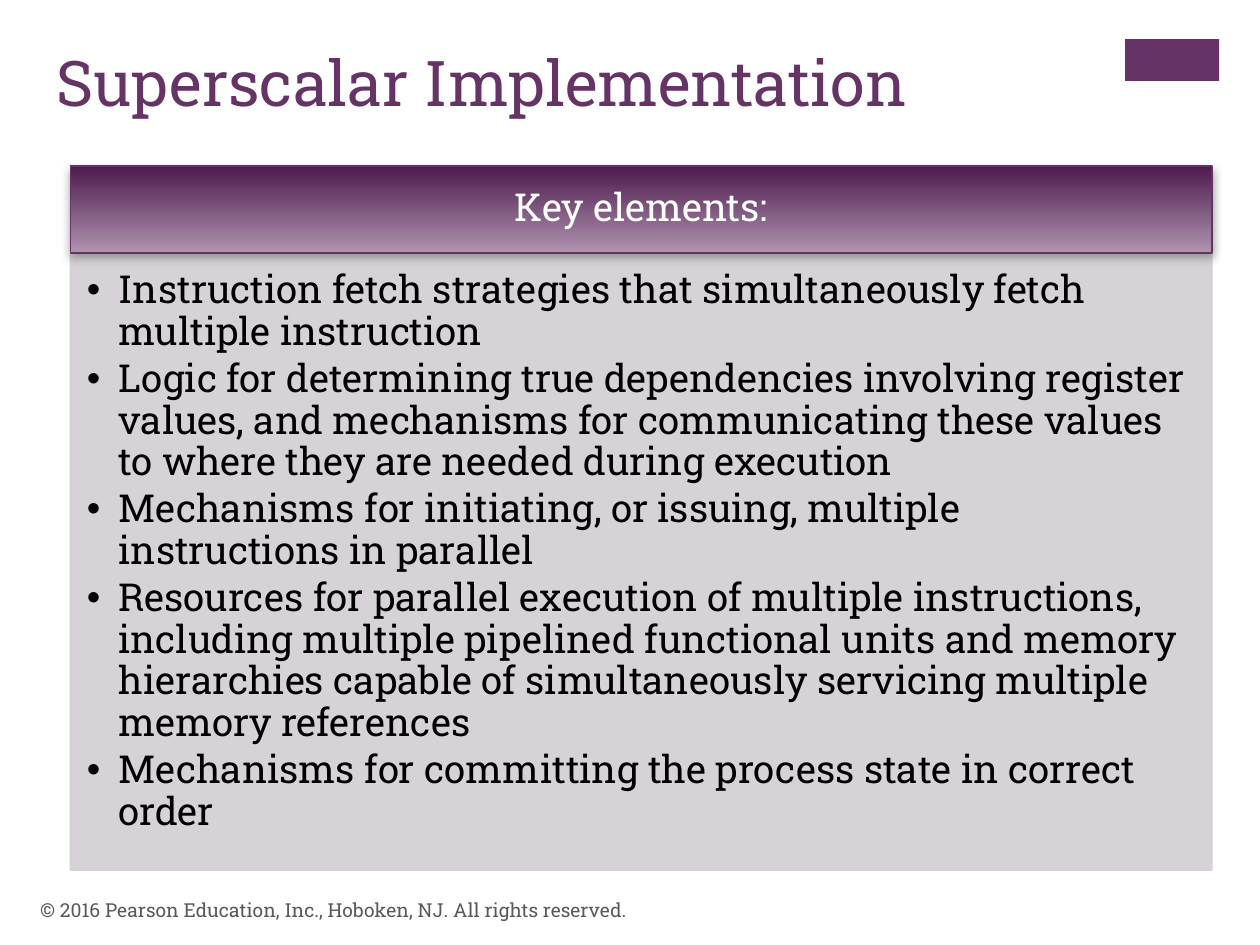
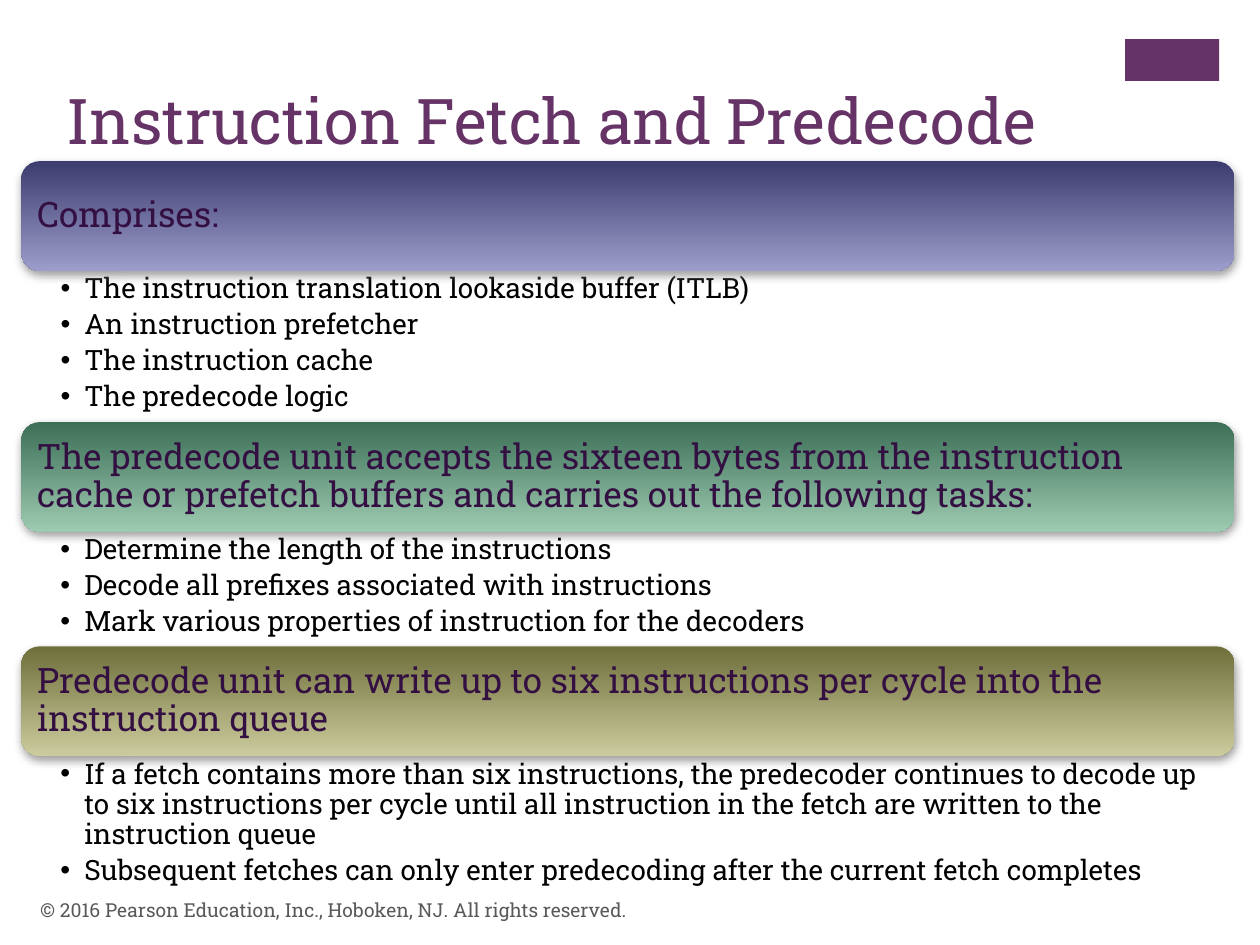
from lxml.etree import SubElement
from pptx import Presentation
from pptx.dml.color import RGBColor
from pptx.enum.shapes import MSO_SHAPE
from pptx.enum.text import MSO_ANCHOR, MSO_AUTO_SIZE, PP_ALIGN
from pptx.oxml.ns import qn
from pptx.util import Cm, Pt

FONT = "Roboto Slab"
COPYRIGHT = "© 2016 Pearson Education, Inc., Hoboken, NJ. All rights reserved."
COLORS = {
    "purple": "663366",
    "footer": "595959",
    "panel": "D3CED3",
    "heading": "330F42",
    "white": "FFFFFF",
    "black": "000000",
}
GRADIENTS = {
    "purple": ("4D1A4D", "AF94AF"),
    "blue": ("3C3C6F", "9D9DCB"),
    "green": ("3C6F56", "9DCBB2"),
    "olive": ("6F6F3C", "CBCB9D"),
}


def write_text(shape, lines, size, color, margins=(0.25, 0.13, 0.25, 0.13),
               anchor=MSO_ANCHOR.TOP, align=PP_ALIGN.LEFT, spacing=1.0, gap=0, indent=None):
    """Fill a shape with one paragraph per line; an indent in cm makes them bullets."""
    frame = shape.text_frame
    frame.text = "\n".join(lines)
    frame.word_wrap = True
    frame.auto_size = MSO_AUTO_SIZE.NONE
    frame.vertical_anchor = anchor
    (frame.margin_left, frame.margin_top,
     frame.margin_right, frame.margin_bottom) = [Cm(margin) for margin in margins]
    for paragraph in frame.paragraphs:
        paragraph.alignment = align
        paragraph.line_spacing = spacing
        paragraph.space_before = Pt(0)
        paragraph.space_after = Pt(gap)
        if indent:
            properties = paragraph._p.get_or_add_pPr()
            properties.set("marL", str(Cm(indent)))
            properties.set("indent", str(-Cm(indent)))
            SubElement(properties, qn("a:buFont"), typeface="Arial")
            SubElement(properties, qn("a:buChar"), char="•")
        paragraph.font.name = FONT
        paragraph.font.size = Pt(size)
        paragraph.font.color.rgb = RGBColor.from_string(COLORS[color])


def add_heading_bar(slide, kind, box, gradient):
    """Add a bar shaded from top to bottom, with a soft shadow below it."""
    bar = slide.shapes.add_shape(kind, *[Cm(length) for length in box])
    bar.fill.gradient()
    bar.fill.gradient_angle = 270
    for stop, color in zip(bar.fill.gradient_stops, GRADIENTS[gradient]):
        stop.color.rgb = RGBColor.from_string(color)
    bar.line.fill.background()
    bar.shadow.inherit = False
    effects = bar.element.spPr.find(qn("a:effectLst"))
    shadow = SubElement(effects, qn("a:outerShdw"), blurRad=str(Pt(5)), dist=str(Pt(2)),
                        dir="5400000", rotWithShape="0")
    shadow_color = SubElement(shadow, qn("a:srgbClr"), val="808080")
    SubElement(shadow_color, qn("a:alpha"), val="75000")
    return bar


presentation = Presentation()
presentation.slide_width = Cm(25.4)
presentation.slide_height = Cm(19.05)
layout = presentation.slide_layouts[1]

# Titles and footers
titles = [
    ("Superscalar Implementation", (0.89, 0.74, 20.98, 3.1)),
    ("Instruction Fetch and Predecode", (1.09, 1.52, 22.4, 3.1)),
]
for title_text, box in titles:
    slide = presentation.slides.add_slide(layout)
    title = slide.shapes.title
    title.left, title.top, title.width, title.height = [Cm(length) for length in box]
    write_text(title, [title_text], 36, "purple")
    footer = slide.shapes.add_textbox(Cm(0.56), Cm(17.83), Cm(17.02), Cm(1.02))
    write_text(footer, [COPYRIGHT], 11, "footer", anchor=MSO_ANCHOR.MIDDLE)
implementation_slide, fetch_slide = presentation.slides

# Corner band, shared through the slide master
band = fetch_slide.shapes.add_shape(MSO_SHAPE.RECTANGLE, Cm(22.68), Cm(0.79), Cm(1.9), Cm(0.84))
band.fill.solid()
band.fill.fore_color.rgb = RGBColor.from_string(COLORS["purple"])
band.line.fill.background()
band.shadow.inherit = False
band.element.nvSpPr.cNvPr.set("id", "20")
presentation.slide_master.shapes.element.append(band.element)

# Slide 1: key elements
panel = implementation_slide.placeholders[1]
panel.left, panel.top, panel.width, panel.height = Cm(1.42), Cm(5.12), Cm(23.01), Cm(12.42)
panel.fill.solid()
panel.fill.fore_color.rgb = RGBColor.from_string(COLORS["panel"])
panel.line.color.rgb = RGBColor.from_string(COLORS["panel"])
panel.line.width = Pt(1)
for panel_color in panel.element.spPr.iter(qn("a:srgbClr")):
    SubElement(panel_color, qn("a:alpha"), val="90000")
key_elements = [
    "Instruction fetch strategies that simultaneously fetch multiple instruction",
    "Logic for determining true dependencies involving register values, and mechanisms "
    "for communicating these values to where they are needed during execution",
    "Mechanisms for initiating, or issuing, multiple instructions in parallel",
    "Resources for parallel execution of multiple instructions, including multiple pipelined "
    "functional units and memory hierarchies capable of simultaneously servicing multiple "
    "memory references",
    "Mechanisms for committing the process state in correct order",
]
write_text(panel, key_elements, 22, "black", margins=(0.33, 0.33, 0.43, 0.48),
           spacing=0.9, gap=3.3, indent=0.64)
header = add_heading_bar(implementation_slide, MSO_SHAPE.RECTANGLE,
                         (1.42, 3.35, 23.01, 1.75), "purple")
header.line.color.rgb = RGBColor.from_string(COLORS["purple"])
header.line.width = Pt(1)
write_text(header, ["Key elements:"], 22, "white", anchor=MSO_ANCHOR.MIDDLE,
           align=PP_ALIGN.CENTER, spacing=0.9)

# Slide 2: headings with their lists, stacked from the top
sections = [
    ("Comprises:", "blue", 3.05, [
        "The instruction translation lookaside buffer (ITLB)",
        "An instruction prefetcher",
        "The instruction cache",
        "The predecode logic",
    ]),
    ("The predecode unit accepts the sixteen bytes from the instruction cache or prefetch "
     "buffers and carries out the following tasks:", "green", 2.31, [
         "Determine the length of the instructions",
         "Decode all prefixes associated with instructions",
         "Mark various properties of instruction for the decoders",
     ]),
    ("Predecode unit can write up to six instructions per cycle into the instruction queue",
     "olive", 2.77, [
         "If a fetch contains more than six instructions, the predecoder continues to decode "
         "up to six instructions per cycle until all instruction in the fetch are written to "
         "the instruction queue",
         "Subsequent fetches can only enter predecoding after the current fetch completes",
     ]),
]
left, top, width, bar_height = 0.43, 3.25, 24.46, 2.21
for number, (heading, gradient, list_height, items) in enumerate(sections):
    bar = add_heading_bar(fetch_slide, MSO_SHAPE.ROUNDED_RECTANGLE,
                          (left, top, width, bar_height), gradient)
    write_text(bar, [heading], 20, "heading", margins=(0.21, 0.21, 0.21, 0.21),
               anchor=MSO_ANCHOR.MIDDLE, spacing=0.9)
    top += bar_height
    box = [Cm(length) for length in (left, top, width, list_height)]
    if number == 0:
        task_list = fetch_slide.placeholders[1]
        task_list.left, task_list.top, task_list.width, task_list.height = box
    else:
        task_list = fetch_slide.shapes.add_textbox(*box)
    write_text(task_list, items, 16, "black", margins=(0.79, 0.08, 0.41, 0.08),
               spacing=0.9, gap=3.2, indent=0.48)
    top += list_height

presentation.save("out.pptx")
